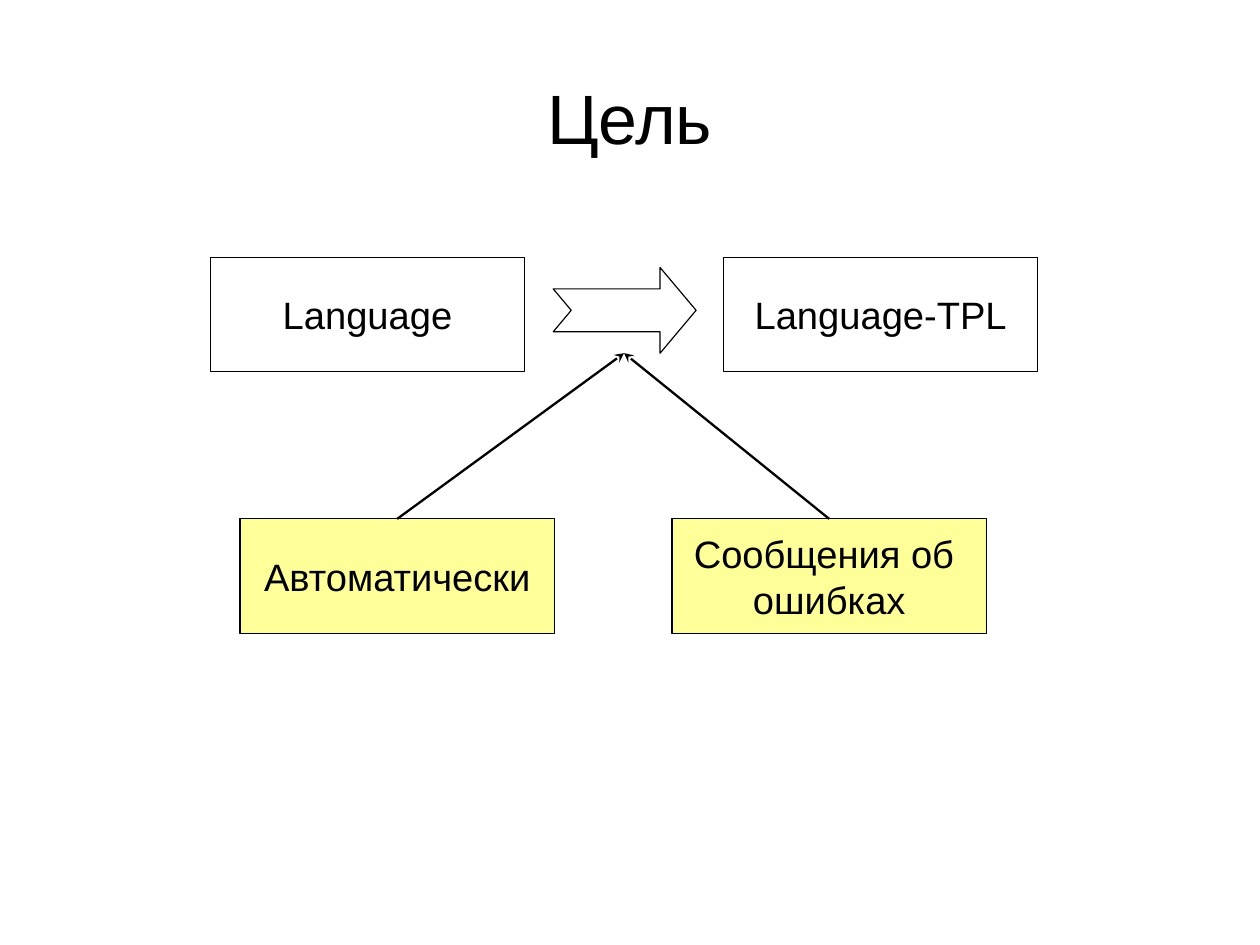
import pptx
import pptx.util
import pptx.dml.color
import pptx.enum.shapes
import pptx.enum.text
from lxml import etree
from pptx.util import Inches

SHAPE = pptx.enum.shapes.MSO_SHAPE
BOX_W, BOX_H = 2.75, 1


def color(hex_string):
    return pptx.dml.color.RGBColor.from_string(hex_string)


def write(tf, lines, size):
    """Fill a text frame with centred black Arial, one paragraph per line."""
    tf.word_wrap = True
    tf.vertical_anchor = pptx.enum.text.MSO_ANCHOR.MIDDLE
    for i, line in enumerate(lines):
        p = tf.paragraphs[0] if i == 0 else tf.add_paragraph()
        p.text = line
        p.alignment = pptx.enum.text.PP_ALIGN.CENTER
        p.font.name = "Arial"
        p.font.size = pptx.util.Pt(size)
        p.font.color.rgb = color("000000")


def add_title(s, x, y, w, h, text):
    tf = s.shapes.add_textbox(Inches(x), Inches(y), Inches(w), Inches(h)).text_frame
    tf.margin_left = tf.margin_right = tf.margin_top = tf.margin_bottom = 0
    write(tf, [text], 44)


def add_outlined(s, kind, x, y, w, h, fill):
    """Add a filled preset shape with a black hairline."""
    sp = s.shapes.add_shape(kind, Inches(x), Inches(y), Inches(w), Inches(h))
    sp.shadow.inherit = False
    sp.fill.solid()
    sp.fill.fore_color.rgb = color(fill)
    sp.line.color.rgb = color("000000")
    sp.line.width = 0
    return sp


def add_box(s, x, y, lines, fill):
    sp = add_outlined(s, SHAPE.RECTANGLE, x, y, BOX_W, BOX_H, fill)
    write(sp.text_frame, lines, 24)
    return sp


def add_pointer(s, box, x, y):
    """Draw an arrow from the top of a box to a point."""
    line = s.shapes.add_connector(pptx.enum.shapes.MSO_CONNECTOR.STRAIGHT,
                                  box.left + box.width // 2, box.top, Inches(x), Inches(y))
    line.begin_connect(box, 0)
    line.line.color.rgb = color("000000")
    line.line.width = pptx.util.Pt(1.45)
    ln = line.line._get_or_add_ln()
    etree.SubElement(ln, pptx.oxml.ns.qn("a:tailEnd"), type="stealth")
    etree.SubElement(line._element.spPr, pptx.oxml.ns.qn("a:effectLst"))


def add_transformation(s, x, y):
    """Place the two languages and the block arrow between them."""
    add_box(s, x, y, ["Language"], "FFFFFF")
    add_box(s, x + 4.49, y, ["Language-TPL"], "FFFFFF")
    arrow = add_outlined(s, SHAPE.NOTCHED_RIGHT_ARROW, x + 3, y + 0.09, 1.25, 0.75, "FFFFFF")
    arrow.adjustments[1] = 0.42


def add_requirements(s, x, y, target):
    """Place the two requirements, each pointing at the target."""
    requirements = [["Автоматически"], ["Сообщения об ", "ошибках"]]
    boxes = [add_box(s, x + 3.78 * i, y, lines, "FFFF99")
             for i, lines in enumerate(requirements)]
    for box in boxes:
        add_pointer(s, box, *target)


def main():
    prs = pptx.Presentation()
    prs.slide_width = pptx.util.Cm(28)
    prs.slide_height = pptx.util.Cm(21)
    s = prs.slides.add_slide(prs.slide_layouts[6])
    add_title(s, 0.55, 0.38, 9.92, 1.28, "Цель")
    add_transformation(s, 1.84, 2.25)
    add_requirements(s, 2.1, 4.54, (5.46, 3.09))
    prs.save("out.pptx")


if __name__ == "__main__":
    main()
